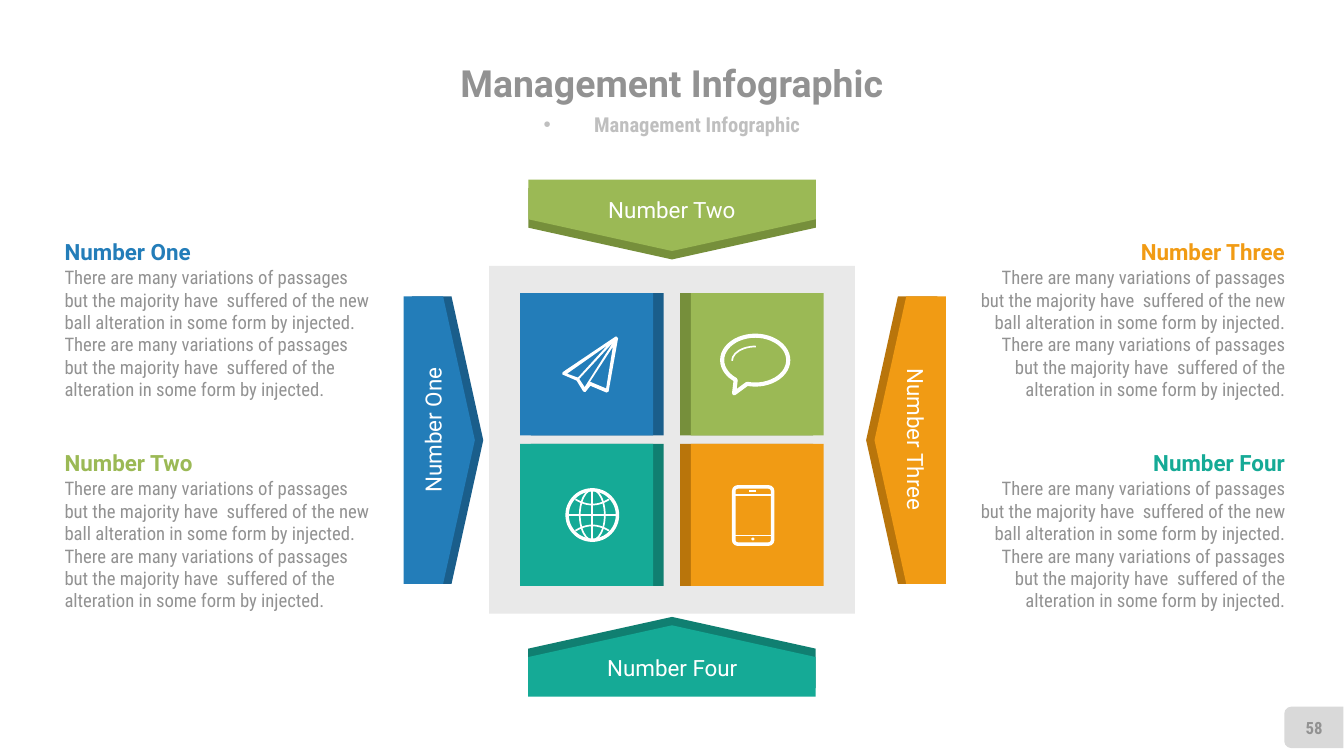
from lxml import etree
from pptx import Presentation
from pptx.dml.color import RGBColor
from pptx.enum.shapes import MSO_CONNECTOR, MSO_SHAPE
from pptx.enum.text import MSO_ANCHOR, PP_ALIGN
from pptx.oxml.ns import qn
from pptx.util import Pt

LEFT, CENTER, RIGHT = PP_ALIGN.LEFT, PP_ALIGN.CENTER, PP_ALIGN.RIGHT
TOP, MIDDLE = MSO_ANCHOR.TOP, MSO_ANCHOR.MIDDLE
RECTANGLE, OVAL, ARC = MSO_SHAPE.RECTANGLE, MSO_SHAPE.OVAL, MSO_SHAPE.ARC
ROUNDED = MSO_SHAPE.ROUNDED_RECTANGLE
PAGE_TAB = MSO_SHAPE.ROUND_2_SAME_RECTANGLE
ARROW_CALLOUT = MSO_SHAPE.DOWN_ARROW_CALLOUT
SPEECH_BUBBLE = MSO_SHAPE.OVAL_CALLOUT

WHITE = RGBColor(0xFF, 0xFF, 0xFF)
GRAY = RGBColor(0x92, 0x92, 0x92)
SILVER = RGBColor(0xBF, 0xBF, 0xBF)
TAB_GRAY = RGBColor(0xD9, 0xD9, 0xD9)
PANEL_GRAY = RGBColor(0xE9, 0xE9, 0xE9)
BLUE, DARK_BLUE = RGBColor(0x23, 0x7D, 0xB9), RGBColor(0x1A, 0x5E, 0x8B)
GREEN, DARK_GREEN = RGBColor(0x9B, 0xB9, 0x55), RGBColor(0x76, 0x8F, 0x3B)
ORANGE, DARK_ORANGE = RGBColor(0xF1, 0x9B, 0x14), RGBColor(0xB9, 0x75, 0x0B)
TEAL, DARK_TEAL = RGBColor(0x15, 0xAA, 0x96), RGBColor(0x10, 0x7F, 0x71)
HEADING_FONT, BODY_FONT = "Roboto", "Roboto Condensed"

# Content
TITLE = SUBTITLE = "Management Infographic"
PAGE_NUMBER = "58"
DESCRIPTION = (
    "There are many variations of passages but the majority have  suffered of the new "
    "ball alteration in some form by injected. There are many variations of passages "
    "but the majority have  suffered of the alteration in some form by injected."
)
# name, colour, text column, text row
TEXTS = [
    ("Number One", BLUE, 0, 0),
    ("Number Two", GREEN, 0, 1),
    ("Number Three", ORANGE, 1, 0),
    ("Number Four", TEAL, 1, 1),
]
# colour, shade, column, row
TILES = [
    (BLUE, DARK_BLUE, 0, 0),
    (TEAL, DARK_TEAL, 0, 1),
    (GREEN, DARK_GREEN, 1, 0),
    (ORANGE, DARK_ORANGE, 1, 1),
]
# name, colour, shade, shade centre, outward direction, arrow turn, label centre, label turn
ARROWS = [
    ("Number One", BLUE, DARK_BLUE, (239.8, 235.8), (-1, 0), 270, (231.8, 230.4), 270),
    ("Number Two", GREEN, DARK_GREEN, (360, 119.9), (0, -1), 0, (360, 112.3), 0),
    ("Number Three", ORANGE, DARK_ORANGE, (483.1, 235.8), (1, 0), 90, (490.7, 235.4), 90),
    ("Number Four", TEAL, DARK_TEAL, (360, 349.6), (0, 1), 180, (360.2, 357.8), 0),
]
# Paper plane: outer edge, then the openings between its folds
PLANE = [
    [(330.4, 180.4), (329.6, 180.4), (301.4, 199.4), (301.2, 200.6), (308.9, 203.9),
     (312.5, 209.8), (313.6, 210), (316.3, 206.7), (324.9, 210.3), (326, 209.8), (331.1, 181.2)],
    [(303.8, 200.2), (325.4, 185), (309.6, 202.3)],
    [(310.3, 203), (328.3, 183.6), (313.2, 207.4)],
    [(324.7, 208.1), (316.1, 204.5), (328.3, 185.8)],
]


def add_shape(kind, x, y, w, h, fill=None, stroke=None):
    shape = slide.shapes.add_shape(kind, Pt(x), Pt(y), Pt(w), Pt(h))
    return style(shape, fill, stroke)


def style(shape, fill=None, stroke=None):
    shape.shadow.inherit = False
    if fill is None:
        shape.fill.background()
    else:
        shape.fill.solid()
        shape.fill.fore_color.rgb = fill
    if stroke is None:
        shape.line.fill.background()
    else:
        shape.line.color.rgb = WHITE
        shape.line.width = Pt(stroke)
    return shape


def add_outline(contours, closed=True, fill=None, stroke=None):
    points = [[(Pt(x), Pt(y)) for x, y in contour] for contour in contours]
    builder = slide.shapes.build_freeform(*points[0][0], scale=1.0)
    for index, contour in enumerate(points):
        if index:
            builder.move_to(*contour[0])
        builder.add_line_segments(contour[1:], close=closed)
    return style(builder.convert_to_shape(), fill, stroke)


def add_line(x1, y1, x2, y2, width):
    line = slide.shapes.add_connector(MSO_CONNECTOR.STRAIGHT, Pt(x1), Pt(y1), Pt(x2), Pt(y2))
    line.line.color.rgb = WHITE
    line.line.width = Pt(width)
    etree.SubElement(line._element.spPr, qn("a:effectLst"))


def write(shape, text, font, size, color, bold=False, align=CENTER, anchor=MIDDLE, wrap=False):
    frame = shape.text_frame
    frame.margin_left = frame.margin_right = frame.margin_top = frame.margin_bottom = 0
    frame.word_wrap = wrap
    frame.vertical_anchor = anchor
    frame.text = text
    paragraph = frame.paragraphs[0]
    paragraph.alignment = align
    paragraph.space_before = Pt(0)
    paragraph.font.name = font
    paragraph.font.size = Pt(size)
    paragraph.font.bold = bold
    paragraph.font.color.rgb = color


def add_text(x, y, w, h, *args, **options):
    box = slide.shapes.add_textbox(Pt(x), Pt(y), Pt(w), Pt(h))
    write(box, *args, **options)
    return box


def place(shape, x, y, w, h):
    shape.left, shape.top, shape.width, shape.height = Pt(x), Pt(y), Pt(w), Pt(h)


presentation = Presentation()
presentation.slide_width, presentation.slide_height = Pt(720), Pt(405)
slide = presentation.slides.add_slide(presentation.slide_layouts[1])

# Title and subtitle
title, subtitle = slide.shapes.title, slide.placeholders[1]
place(title, 138, 30.5, 444, 28)
write(title, TITLE, HEADING_FONT, 20, GRAY, bold=True)
place(subtitle, 198, 58.5, 324, 16)
properties = subtitle.text_frame.paragraphs[0]._p.get_or_add_pPr()
properties.set("marL", "0")
properties.set("indent", "0")
etree.SubElement(properties, qn("a:buNone"))
write(subtitle, SUBTITLE, BODY_FONT, 11, SILVER, bold=True)

# Page number
tab = add_shape(PAGE_TAB, 692.8, 373.8, 22.2, 31.7, TAB_GRAY)
tab.rotation = 270
add_text(689, 379, 30, 21.6, PAGE_NUMBER, BODY_FONT, 9, GRAY, bold=True)

# Central panel with four tiles
TILE_W, TILE_H, TILE_SHADE = 71.2, 76.2, 5.7
add_shape(RECTANGLE, 262, 142.5, 196, 186.3, PANEL_GRAY)
for color, shade, column, row in TILES:
    x, y = 278.7 + column * 91.4, 157.1 + row * 80.7
    shade_x = x - TILE_SHADE if column else x + TILE_SHADE
    add_shape(RECTANGLE, shade_x, y, TILE_W, TILE_H, shade)
    add_shape(RECTANGLE, x, y, TILE_W, TILE_H, color)

# Paper plane icon
add_outline(PLANE, fill=WHITE)

# Globe icon
GLOBE_X, GLOBE_Y, GLOBE_R = 317.3, 275.9, 13.5
add_shape(OVAL, GLOBE_X - GLOBE_R, GLOBE_Y - GLOBE_R, 2 * GLOBE_R, 2 * GLOBE_R, stroke=1.8)
add_shape(OVAL, GLOBE_X - 6.7, GLOBE_Y - GLOBE_R, 13.4, 2 * GLOBE_R, stroke=0.9)
add_line(GLOBE_X, GLOBE_Y - GLOBE_R, GLOBE_X, GLOBE_Y + GLOBE_R, 0.9)
add_line(GLOBE_X - GLOBE_R, GLOBE_Y, GLOBE_X + GLOBE_R, GLOBE_Y, 0.9)
for side in (-1, 1):
    latitude = [(GLOBE_X + dx, GLOBE_Y + side * (5.6 + 2.8 * (dx / 9) ** 2)) for dx in range(-9, 10)]
    add_outline([latitude], closed=False, stroke=0.9)

# Speech bubble icon
bubble = add_shape(SPEECH_BUBBLE, 386.9, 179.9, 35.4, 26.2, stroke=2.2)
bubble.adjustments[0], bubble.adjustments[1] = -0.32, 0.68
glint = add_shape(ARC, 392.2, 185.6, 25.4, 15.4, stroke=0.9)
glint.adjustments[0], glint.adjustments[1] = 108, 162  # 180 to 270 degrees

# Phone icon
phone = add_shape(ROUNDED, 393.1, 260.9, 20.8, 30.6, stroke=1.9)
phone.adjustments[0] = 0.1
for x1, x2, y in [(393, 414, 265.3), (393, 414, 286.9), (401.5, 405.2, 263.2)]:
    add_line(x1, y, x2, y, 0.9)
add_shape(OVAL, 402.5, 288, 1.7, 1.5, WHITE)

# Arrows around the panel
ARROW_W, ARROW_H, ARROW_SHIFT = 154, 38.2, 4.5
for name, color, shade, (x, y), (dx, dy), turn, (label_x, label_y), label_turn in ARROWS:
    for fill, shift in ((shade, 0), (color, ARROW_SHIFT)):
        center_x, center_y = x + dx * shift, y + dy * shift
        arrow = add_shape(ARROW_CALLOUT, center_x - ARROW_W / 2, center_y - ARROW_H / 2,
                          ARROW_W, ARROW_H, fill)
        arrow.rotation = turn
        for index, value in enumerate((3.707, 3.1, 0.445, 0.555)):
            arrow.adjustments[index] = value
    label = add_text(label_x - 39, label_y - 7.2, 78, 14.4, name, HEADING_FONT, 12, WHITE)
    label.rotation = label_turn

# Text columns
TEXT_W = 165.6
for name, color, column, row in TEXTS:
    x, y = (34.6, 522.8)[column], 127.4 + row * 113.1
    align = RIGHT if column else LEFT
    add_text(x, y, TEXT_W, 14.4, name, HEADING_FONT, 12, color, bold=True, align=align, anchor=TOP)
    add_text(x, y + 15.1, TEXT_W, 72.7, DESCRIPTION, BODY_FONT, 10, GRAY,
             align=align, anchor=TOP, wrap=True)

presentation.save("out.pptx")
